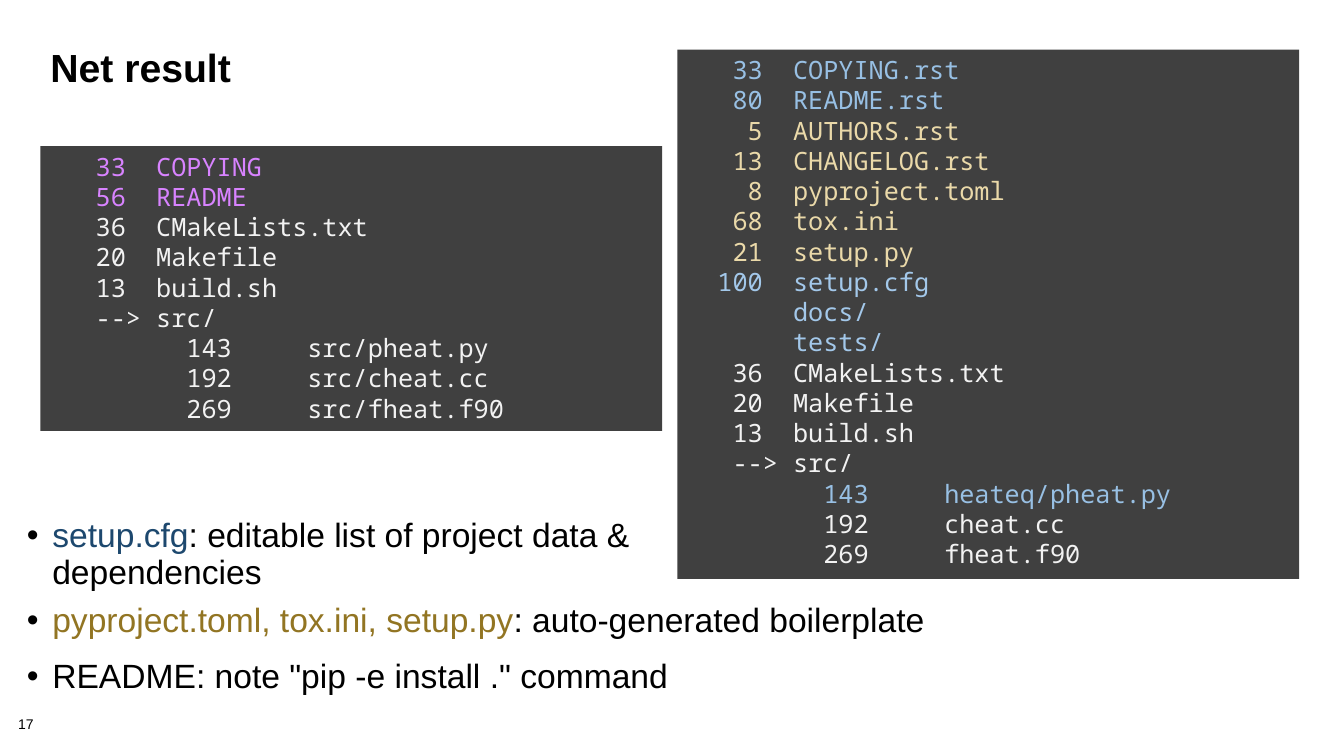
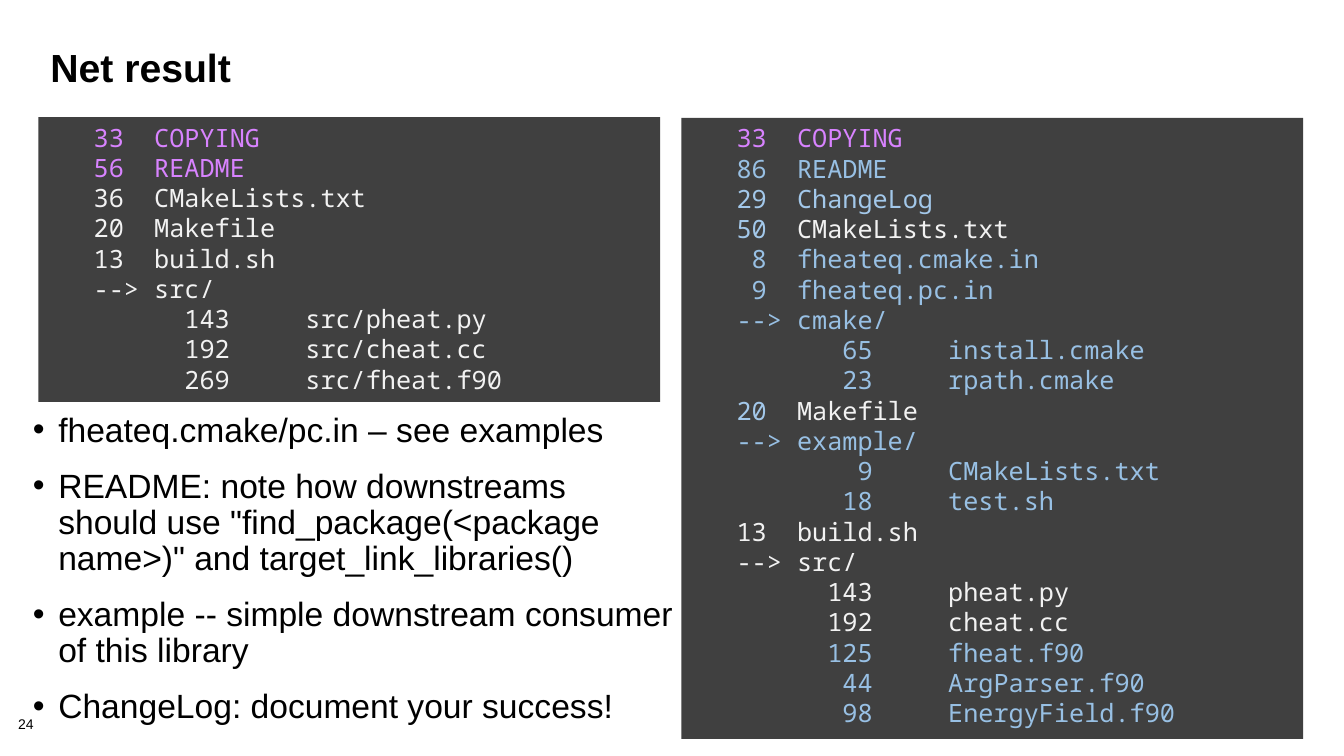
from dataclasses import dataclass
from typing import NamedTuple

from lxml import etree
from pptx import Presentation
from pptx import util as u
from pptx.dml import color
from pptx.enum import shapes, text
from pptx.oxml import ns

COLOURS = {
    "black": "000000",
    "panel": "404040",
    "plain": "F2F2F2",
    "old": "D883FF",
    "changed": "98C0E4",
    "added": "A3C8EA",
    "generated": "EAD9A9",
    "navy": "1D486E",
    "ochre": "927523",
}
BODY_FONT = "Arial"
CODE_FONT = "Noto Sans Mono"
PANEL_WIDTH, LINE_HEIGHT, PANEL_PADDING = 15.67, 0.77, 0.25
INDENT = u.Cm(0.64)


class Span(NamedTuple):
    words: str
    colour: str = "black"


Line = list[Span]


class Place(NamedTuple):
    left: float
    top: float
    width: float
    height: float


@dataclass
class Panel:
    left: float
    top: float
    lines: list[Line]


@dataclass
class Bullets:
    place: Place
    items: list[Line]


@dataclass
class Page:
    number: int
    panels: list[Panel]
    bullets: list[Bullets]


def rgb(name: str) -> color.RGBColor:
    return color.RGBColor.from_string(COLOURS[name])


def block(colour: str, listing: str) -> list[Line]:
    return [[Span(row, colour)] for row in listing.strip("\n").split("\n")]


def add_bullet(para) -> None:
    props = para._p.get_or_add_pPr()
    props.set("marL", str(INDENT))
    props.set("indent", str(-INDENT))
    bullet_colour = etree.SubElement(props, ns.qn("a:buClr"))
    etree.SubElement(bullet_colour, ns.qn("a:srgbClr"), val=COLOURS["black"])
    etree.SubElement(props, ns.qn("a:buFont"), typeface=BODY_FONT)
    etree.SubElement(props, ns.qn("a:buChar"), char="•")


def write(box, lines: list[Line], *, size: int, font: str = BODY_FONT,
          bold: bool = False, spacing: float = 1.0, before: int = 0,
          bullet: bool = False, margin: float | None = None) -> None:
    frame = box.text_frame
    frame.word_wrap = True
    frame.vertical_anchor = text.MSO_ANCHOR.TOP
    if margin is not None:
        frame.margin_left = frame.margin_right = u.Cm(margin)
        frame.margin_top = frame.margin_bottom = u.Cm(margin)
    for index, line in enumerate(lines):
        para = frame.add_paragraph() if index else frame.paragraphs[0]
        if bullet:
            add_bullet(para)
        para.alignment = text.PP_ALIGN.LEFT
        para.line_spacing = spacing
        if index and before:
            para.space_before = u.Pt(before)
        for span in line:
            run = para.add_run()
            run.text = span.words
            run.font.name = font
            run.font.size = u.Pt(size)
            run.font.bold = bold
            run.font.color.rgb = rgb(span.colour)


def add_box(slide, place: Place):
    return slide.shapes.add_textbox(*map(u.Cm, place))


def add_panel(slide, panel: Panel) -> None:
    height = LINE_HEIGHT * len(panel.lines) + PANEL_PADDING
    place = Place(panel.left, panel.top, PANEL_WIDTH, height)
    box = slide.shapes.add_shape(shapes.MSO_SHAPE.RECTANGLE, *map(u.Cm, place))
    box.shadow.inherit = False
    box.fill.solid()
    box.fill.fore_color.rgb = rgb("panel")
    box.line.fill.background()
    write(box, panel.lines, size=18, font=CODE_FONT)


def add_page(deck, page: Page) -> None:
    slide = deck.slides.add_slide(deck.slide_layouts[6])
    write(add_box(slide, Place(0.46, 18.08, 1.42, 0.41)),
          [[Span(str(page.number))]], size=10, spacing=0.9, margin=0)
    write(add_box(slide, Place(1.02, 1.14, 31.6, 2.54)),
          [[Span("Net result")]], size=28, bold=True, spacing=0.85)
    for panel in page.panels:
        add_panel(slide, panel)
    for group in page.bullets:
        write(add_box(slide, group.place), group.items, size=24,
              spacing=0.9, before=14, bullet=True)


BUILD_FILES = block("plain", """
   36  CMakeLists.txt
   20  Makefile
   13  build.sh
   --> src/
""")

BEFORE = block("old", """
   33  COPYING
   56  README
""") + BUILD_FILES + block("plain", """
         143     src/pheat.py
         192     src/cheat.cc
         269     src/fheat.f90
""")

PYTHON_AFTER = block("changed", """
   33  COPYING.rst
   80  README.rst
""") + block("generated", """
    5  AUTHORS.rst
   13  CHANGELOG.rst
    8  pyproject.toml
   68  tox.ini
   21  setup.py
""") + block("added", """
  100  setup.cfg
       docs/
       tests/
""") + BUILD_FILES + block("changed", """
         143     heateq/pheat.py
""") + block("plain", """
         192     cheat.cc
         269     fheat.f90
""")

CMAKE_AFTER = [
    *block("old", "   33  COPYING"),
    *block("changed", "   86  README"),
    *block("added", "   29  ChangeLog"),
    [Span("   50  ", "added"), Span("CMakeLists.txt", "plain")],
    *block("changed", """
    8  fheateq.cmake.in
    9  fheateq.pc.in
   --> cmake/
          65     install.cmake
          23     rpath.cmake
"""),
    [Span("   20  ", "added"), Span("Makefile", "plain")],
    *block("changed", """
   --> example/
           9     CMakeLists.txt
          18     test.sh
"""),
    *block("plain", """
   13  build.sh
   --> src/
         143     pheat.py
         192     cheat.cc
"""),
    *block("changed", """
         125     fheat.f90
          44     ArgParser.f90
          98     EnergyField.f90
"""),
]

PAGES = [
    Page(
        17,
        [Panel(1.02, 3.68, BEFORE), Panel(17.07, 1.25, PYTHON_AFTER)],
        [
            Bullets(Place(0.43, 12.95, 17.55, 4.83), [
                [Span("setup.cfg", "navy"),
                 Span(": editable list of project data & dependencies")],
            ]),
            Bullets(Place(0.43, 15.09, 26.72, 3.96), [
                [Span("pyproject.toml, tox.ini, setup.py", "ochre"),
                 Span(": auto-generated boilerplate")],
                [Span('README: note "pip -e install ." command')],
            ]),
        ],
    ),
    Page(
        24,
        [Panel(0.97, 2.95, BEFORE), Panel(17.17, 2.97, CMAKE_AFTER)],
        [
            Bullets(Place(0.58, 10.29, 16.65, 8.33), [
                [Span("fheateq.cmake/pc.in – see examples")],
                [Span('README: note how downstreams should use "find_package('
                      '<package name>)" and target_link_libraries()')],
                [Span("example -- simple downstream consumer of this library")],
                [Span("ChangeLog: document your success!")],
            ]),
        ],
    ),
]


def main() -> None:
    deck = Presentation()
    deck.slide_width, deck.slide_height = u.Cm(33.87), u.Cm(19.05)
    for page in PAGES:
        add_page(deck, page)
    deck.save("out.pptx")


if __name__ == "__main__":
    main()
